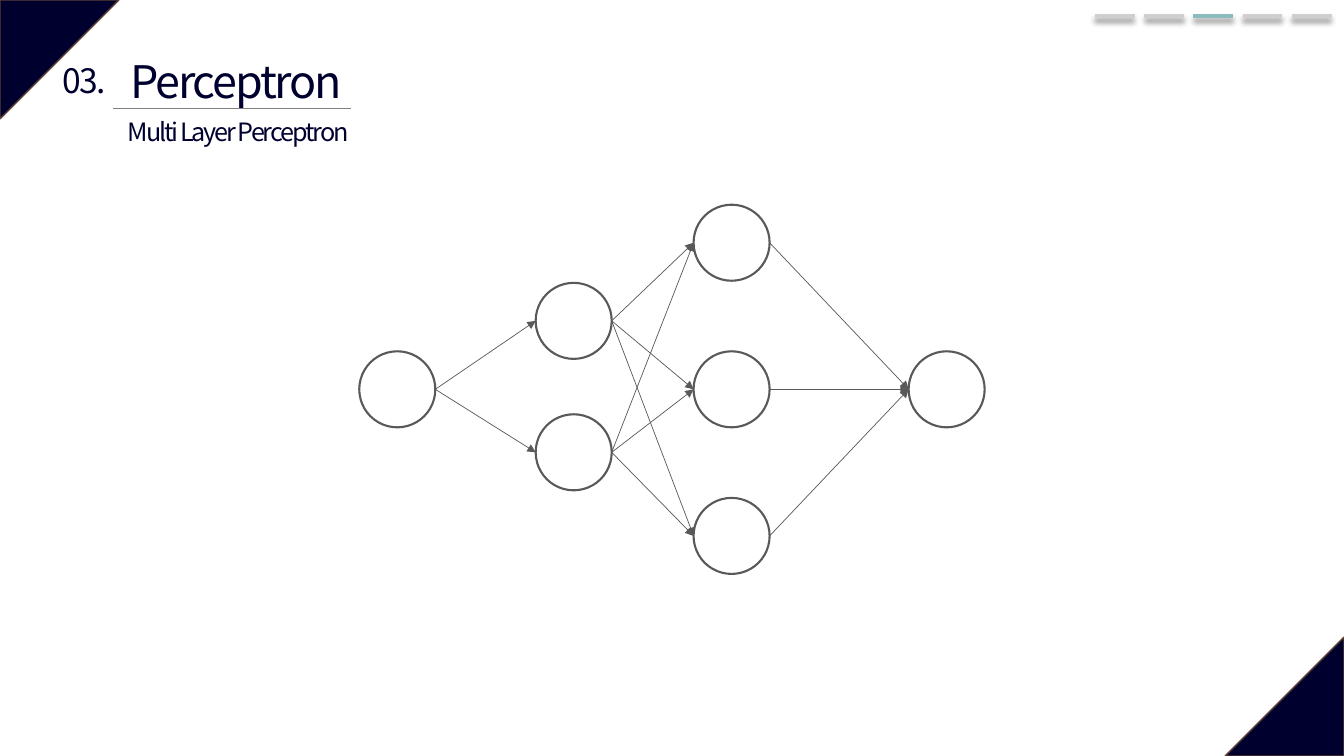
from dataclasses import dataclass
from itertools import pairwise, product

from lxml import etree
from pptx import Presentation
from pptx.dml.color import RGBColor
from pptx.enum.shapes import MSO_CONNECTOR, MSO_SHAPE
from pptx.enum.text import MSO_ANCHOR, MSO_AUTO_SIZE, PP_ALIGN
from pptx.oxml import parse_xml
from pptx.oxml.ns import nsdecls, qn
from pptx.util import Inches, Pt

STRAIGHT = MSO_CONNECTOR.STRAIGHT
TRIANGLE = MSO_SHAPE.ISOSCELES_TRIANGLE
ELLIPSE = MSO_SHAPE.OVAL
TOP = MSO_ANCHOR.TOP
GROW = MSO_AUTO_SIZE.SHAPE_TO_FIT_TEXT
LEFT = PP_ALIGN.LEFT
CENTER = PP_ALIGN.CENTER

COLUMNS, ROWS = 160, 90
TITLE_ONLY = 5
CORNER = 14.15
DASH_COUNT, DASH_START, DASH_STEP, DASH_LENGTH, DASH_ROW = 5, 130.35, 5.86, 4.75, 1.9
CURRENT_DASH = 2
NODE = 9.05
MIDDLE = 46.35
LAYERS = [
    (47.3, [MIDDLE]),
    (68.3, [38.2, 53.85]),
    (87.1, [MIDDLE - 17.45, MIDDLE, MIDDLE + 17.45]),
    (112.7, [MIDDLE]),
]


@dataclass(frozen=True)
class Theme:
    """Colours, type sizes and line widths of the slide."""

    font: str = "Noto Sans CJK KR"
    navy: str = "00002F"
    brown: str = "5B3F33"
    white: str = "FFFFFF"
    silver: str = "D0CECE"
    teal: str = "8DBABD"
    grey: str = "808080"
    dark: str = "595959"
    title: float = 32
    number: float = 24
    subtitle: float = 18
    spacing: int = -150
    hairline: float = 0.5
    edge: float = 1
    outline: float = 1.5
    dash: float = 3.5


def apply(target, values):
    """Set each named attribute of the target."""
    for name, value in values.items():
        setattr(target, name, value)


class Board:
    """Draws elements on one slide, placed by grid columns and rows."""

    def __init__(self, presentation, theme):
        """Add a title-only slide to the presentation."""
        self.theme = theme
        self.column = presentation.slide_width / COLUMNS
        self.row = presentation.slide_height / ROWS
        self.slide = presentation.slides.add_slide(presentation.slide_layouts[TITLE_ONLY])

    def place(self, x, y):
        """Turn grid units into slide lengths."""
        return round(x * self.column), round(y * self.row)

    def stroke(self, line, color, width):
        """Give a line its colour and width."""
        line.color.rgb = RGBColor.from_string(color)
        line.width = Pt(width)

    def shape(self, kind, box, fill, color, width):
        """Add a filled and outlined preset shape."""
        shape = self.slide.shapes.add_shape(kind, *self.place(*box[:2]), *self.place(*box[2:]))
        shape.shadow.inherit = False
        shape.fill.solid()
        shape.fill.fore_color.rgb = RGBColor.from_string(fill)
        self.stroke(shape.line, color, width)
        return shape

    def corner(self, x, y, rotation):
        """Add a right-angled triangle in a slide corner."""
        box = (x, y, CORNER, CORNER)
        shape = self.shape(TRIANGLE, box, self.theme.navy, self.theme.brown, self.theme.edge)
        shape.adjustments[0] = 0
        shape.rotation = rotation

    def node(self, x, y):
        """Add a neuron centred on a point."""
        box = (x - NODE / 2, y - NODE / 2, NODE, NODE)
        self.shape(ELLIPSE, box, self.theme.white, self.theme.dark, self.theme.outline)

    def line(self, start, end, color, width):
        """Add a straight line without a shadow."""
        connector = self.slide.shapes.add_connector(
            STRAIGHT, *self.place(*start), *self.place(*end))
        self.stroke(connector.line, color, width)
        etree.SubElement(connector._element.spPr, qn("a:effectLst"))
        return connector

    def arrow(self, start, end):
        """Add a thin line with an arrowhead at its end."""
        connector = self.line(start, end, self.theme.dark, self.theme.hairline)
        outline = connector._element.spPr.find(qn("a:ln"))
        etree.SubElement(outline, qn("a:tailEnd"), type="triangle")

    def dash(self, x, color):
        """Add a progress dash with a soft shadow below it."""
        start, end = (x, DASH_ROW), (x + DASH_LENGTH, DASH_ROW)
        connector = self.line(start, end, color, self.theme.dash)
        effects = connector._element.spPr.find(qn("a:effectLst"))
        effects.append(parse_xml(
            f'<a:outerShdw {nsdecls("a")} blurRad="{Pt(4)}" dist="{Pt(3)}" dir="5400000"'
            ' algn="t" rotWithShape="0"><a:srgbClr val="000000">'
            '<a:alpha val="40000"/></a:srgbClr></a:outerShdw>'))

    def text(self, text, box, size, align=LEFT, wrap=True, shape=None):
        """Write one line of text in a new box or a given placeholder."""
        left, top = self.place(*box[:2])
        width, height = self.place(*box[2:])
        shape = shape or self.slide.shapes.add_textbox(left, top, width, height)
        apply(shape, {"left": left, "top": top, "width": width, "height": height})
        frame = shape.text_frame
        apply(frame, {"word_wrap": wrap, "auto_size": GROW, "vertical_anchor": TOP})
        paragraph = frame.paragraphs[0]
        paragraph.alignment = align
        run = paragraph.add_run()
        run.text = text
        apply(run.font, {"name": self.theme.font, "size": Pt(size)})
        run.font.color.rgb = RGBColor.from_string(self.theme.navy)
        run._r.get_or_add_rPr().set("spc", str(self.theme.spacing))

    def title(self, text, box):
        """Write the slide title in its placeholder."""
        self.text(text, box, self.theme.title, shape=self.slide.shapes.title)


def main():
    """Build the perceptron slide and save it."""
    presentation = Presentation()
    apply(presentation, {"slide_width": Inches(40 / 3), "slide_height": Inches(7.5)})
    theme = Theme()
    board = Board(presentation, theme)

    board.corner(0, 0, 90)
    board.corner(COLUMNS - CORNER, ROWS - CORNER, 270)
    for index in range(DASH_COUNT):
        color = theme.teal if index == CURRENT_DASH else theme.silver
        board.dash(DASH_START + index * DASH_STEP, color)

    board.line((13.45, 12.95), (41.75, 12.95), theme.grey, theme.hairline)
    board.title("Perceptron", (14.3, 5.75, 60.35, 7.7))
    board.text("03.", (6, 6.6, 8.05, 6), theme.number, CENTER, wrap=False)
    board.text("Multi Layer Perceptron", (14.05, 13.2, 33.6, 4.8), theme.subtitle)

    for x, centers in LAYERS:
        for y in centers:
            board.node(x, y)
    for (x, centers), (next_x, next_centers) in pairwise(LAYERS):
        for y, next_y in product(centers, next_centers):
            board.arrow((x + NODE / 2, y), (next_x - NODE / 2, next_y))

    presentation.save("out.pptx")


if __name__ == "__main__":
    main()
